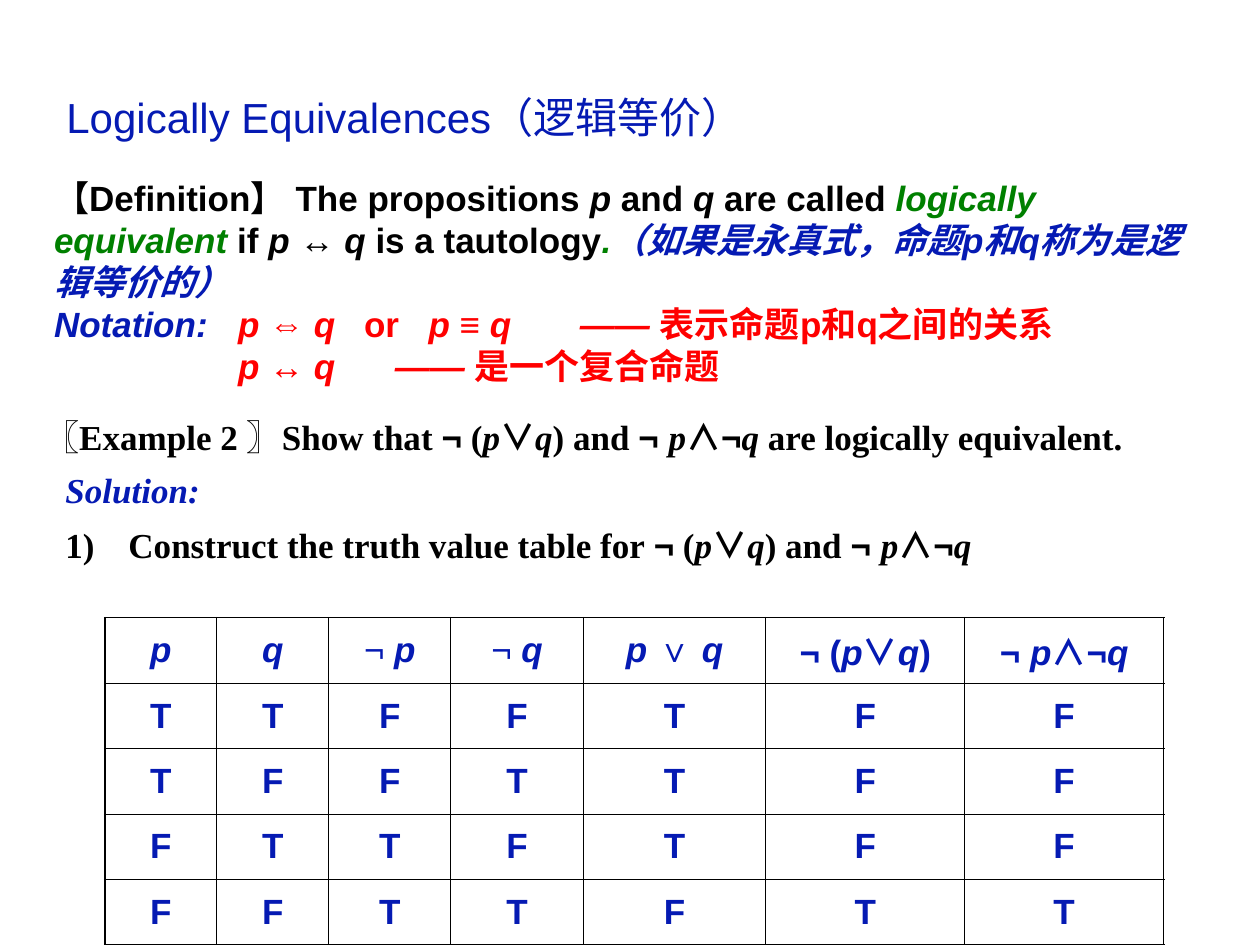
"""Build the slide on logical equivalence with its truth table."""
from pptx import Presentation as Deck
from pptx.dml.color import RGBColor as Rgb
from pptx.enum.text import MSO_ANCHOR as Anchor, PP_ALIGN as Align
from pptx.oxml.ns import qn
from pptx.util import Cm, Pt
from lxml.etree import SubElement as Sub

BLUE = Rgb(0x05, 0x1A, 0xB3)
GREEN = Rgb(0x00, 0x80, 0x00)
RED = Rgb(0xFF, 0x00, 0x00)
BLACK = Rgb(0x00, 0x00, 0x00)
SANS, SERIF, CJK = "Arial", "Times New Roman", "Noto Sans CJK SC"

ITAL = {"slant": True}
HOT = {"color": RED}
HOT_IT = {"color": RED, "slant": True}
P, Q = ("p", ITAL), ("q", ITAL)
OR, AND = ("∨", {"font": CJK}), ("∧", {"font": CJK})
NOT, NOT_SP = ("¬", {"font": SANS}), ("¬ ", {"font": SANS})
LIGHT = {"bold": False}

TITLE = [("Logically Equivalences（逻辑等价）", {})]
DEFINE = [
    ("【Definition】 The propositions ", {}), ("p ", ITAL), ("and ", {}),
    ("q ", ITAL), ("are called", {}),
    (" logically equivalent ", {"color": GREEN, "slant": True}),
    ("if ", {}), ("p ", ITAL), ("↔", {}), (" q ", ITAL),
    ("is a tautology", {}), (".", {"color": GREEN, "slant": True}),
    ("（如果是永真式，命题p和q称为是逻辑等价的）", {"color": BLUE, "slant": True}),
]
NOTE = [
    ("Notation:\t", {"color": BLUE, "slant": True}), ("p ", HOT_IT),
    ("⇔", HOT), (" q\t", HOT_IT), ("or\t", HOT), ("p ", HOT_IT),
    ("≡ ", HOT), ("q\t—— ", HOT_IT), ("表示命题p和q之间的关系", HOT),
]
JOINT = [
    ("\tp ", HOT_IT), ("↔", HOT), (" q\t—— ", HOT_IT), ("是一个复合命题", HOT),
]
LAW = [NOT, (" (", {}), P, OR, Q, (") and ", {}), NOT_SP, P, AND, NOT, Q]
SHOW = [
    ("〖", {"font": SANS}), ("Example 2 ", {}), ("〗", {"font": SANS}),
    ("Show that ", {}), *LAW, (" are logically equivalent.", {}),
]
SOLVE = [("Solution:", {"color": BLUE, "slant": True})]
BUILD = [("Construct the truth value table for ", {}), *LAW]

HEADS = [
    [P], [Q], [("¬ ", LIGHT), P], [("¬", LIGHT), (" q", ITAL)],
    [("p ", ITAL), ("∨ ", {}), Q],
    [("¬ (", {}), P, OR, Q, (")", {})],
    [NOT_SP, P, AND, NOT, Q],
]
TRUTH = ["TTFFTFF", "TFFTTFF", "FTTFTFF", "FFTTFTT"]
COLS = [2.26, 2.26, 2.46, 2.67, 3.68, 4.01, 4.01]
ROW = 1.32
THICK, THIN = Pt(1.08), Pt(0.45)


def write(para, runs, size=20, font=SANS, color=BLACK, bold=True,
          before=0, after=0, line=None, align=Align.LEFT):
    """Fill a paragraph with runs that may override its format."""
    para.alignment = align
    para.space_before, para.space_after = Pt(before), Pt(after)
    if line:
        para.line_spacing = line
    for text, own in runs:
        run = para.add_run()
        run.text = text
        face = run.font
        face.size = Pt(size)
        face.bold = own.get("bold", bold)
        face.italic = own.get("slant", False)
        face.color.rgb = own.get("color", color)
        face.name = own.get("font", font)
        Sub(face._element, qn("a:ea"), typeface=face.name)


def box(slide, left, top, width, height, lines, anchor=Anchor.TOP, **form):
    """Add a wrapped text box with one paragraph per line."""
    frame = slide.shapes.add_textbox(
        Cm(left), Cm(top), Cm(width), Cm(height)).text_frame
    frame.word_wrap = True
    frame.vertical_anchor = anchor
    for n, runs in enumerate(lines):
        para = frame.add_paragraph() if n else frame.paragraphs[0]
        write(para, runs, **form)
    return frame.paragraphs


def set_tabs(para, stops):
    """Give a paragraph left tab stops."""
    tabs = Sub(para._p.get_or_add_pPr(), qn("a:tabLst"))
    for stop in stops:
        Sub(tabs, qn("a:tab"), pos=str(Cm(stop)), algn="l")


def number(para):
    """Number a paragraph in black with a hanging indent."""
    props = para._p.get_or_add_pPr()
    props.set("marL", str(Cm(1.27)))
    props.set("indent", str(-Cm(1.27)))
    tint = Sub(props, qn("a:buClr"))
    Sub(tint, qn("a:srgbClr"), val=str(BLACK))
    Sub(props, qn("a:buAutoNum"), type="arabicParenR")


def edge(cell, outer):
    """Draw the four borders of a cell, thick where outer is true."""
    props = cell._tc.get_or_add_tcPr()
    for n, (side, thick) in enumerate(zip("LRTB", outer)):
        line = props.makeelement(
            qn("a:ln" + side), {"w": str(THICK if thick else THIN)})
        fill = Sub(line, qn("a:solidFill"))
        Sub(fill, qn("a:srgbClr"), val=str(BLACK))
        props.insert(n, line)


def grid(slide):
    """Add the truth table."""
    rows = [HEADS] + [[[(mark, {})] for mark in row] for row in TRUTH]
    high, wide = len(rows), len(COLS)
    table = slide.shapes.add_table(
        high, wide, Cm(2.11), Cm(12.45), Cm(sum(COLS)), Cm(ROW * high)).table
    table.first_row = table.horz_banding = False
    for col, width in zip(table.columns, COLS):
        col.width = Cm(width)
    for r, row in enumerate(rows):
        table.rows[r].height = Cm(ROW)
        for c, runs in enumerate(row):
            cell = table.cell(r, c)
            cell.fill.background()
            cell.vertical_anchor = Anchor.MIDDLE
            write(cell.text_frame.paragraphs[0], runs, color=BLUE,
                  after=5, align=Align.CENTER)
            edge(cell, (c == 0, c == wide - 1, r == 0, r == high - 1))


def main():
    """Lay out the slide and save it."""
    deck = Deck()
    deck.slide_width, deck.slide_height = Cm(25.4), Cm(19.05)
    slide = deck.slides.add_slide(deck.slide_layouts[6])
    box(slide, 1.09, 1.32, 24.31, 2.18, [TITLE], anchor=Anchor.MIDDLE,
        size=24, color=BLUE, bold=False, line=0.9)
    terms = box(slide, 0.84, 3.43, 23.29, 5.33, [DEFINE, NOTE, JOINT],
                line=Pt(24))
    set_tabs(terms[1], [3.71, 6.25, 7.55, 10.6])
    set_tabs(terms[2], [3.71, 6.87])
    box(slide, 0.64, 8.26, 23.7, 1.12, [SHOW], font=SERIF, before=7.5)
    steps = box(slide, 1.07, 9.32, 23.7, 2.21, [SOLVE, BUILD],
                font=SERIF, before=7.5)
    number(steps[1])
    grid(slide)
    deck.save("out.pptx")


if __name__ == "__main__":
    main()
